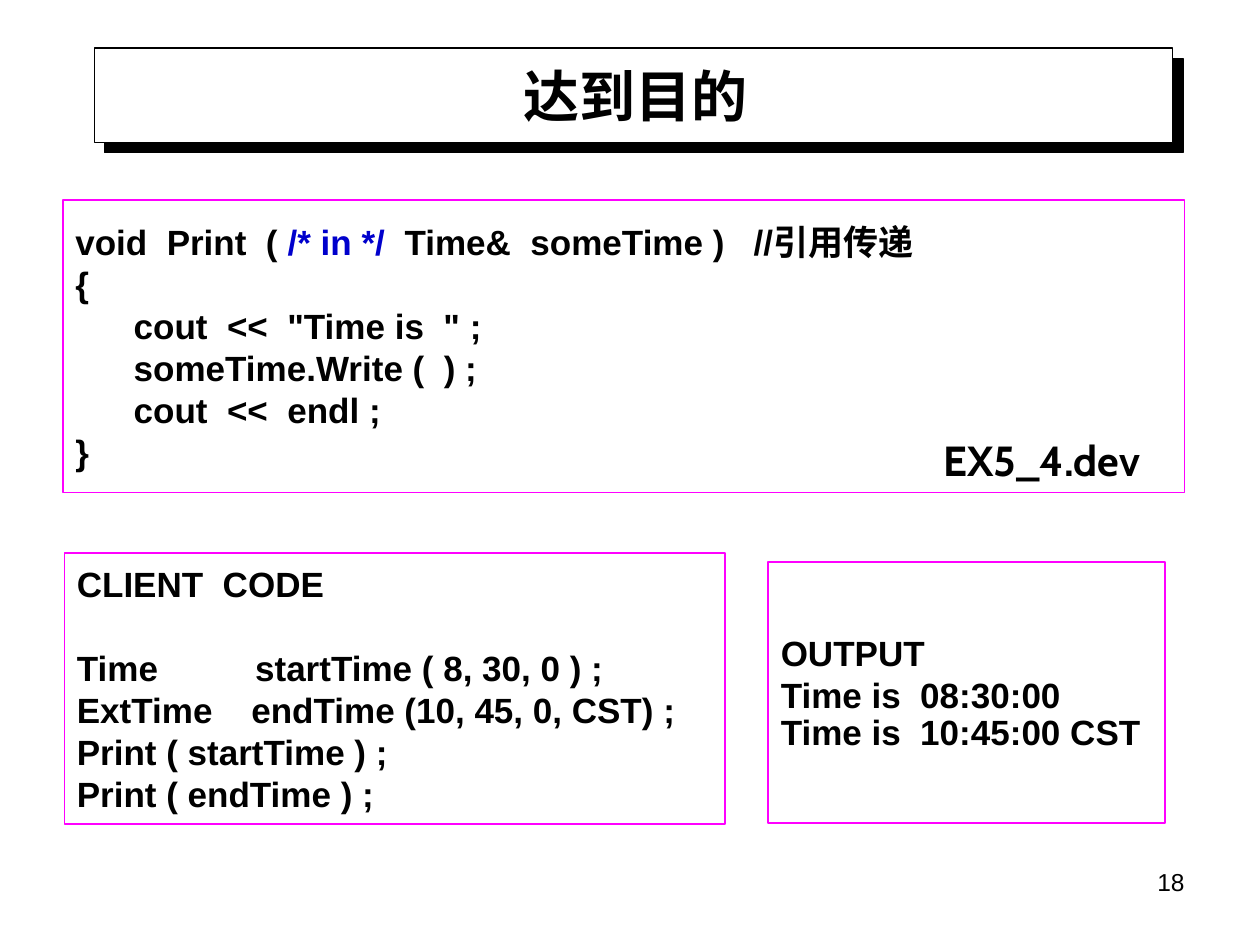
from dataclasses import dataclass

from lxml import etree
from pptx import Presentation
from pptx import util as u
from pptx.dml.color import RGBColor
from pptx.enum import shapes, text
from pptx.oxml import ns


@dataclass(frozen=True)
class Theme:
    ink: str = "000000"
    paper: str = "FFFFFF"
    frame: str = "FF00FF"
    comment: str = "0000CC"
    font: str = "Arial"
    label_font: str = "Cabin"
    title: int = 32
    label: int = 24
    code: int = 20
    number: int = 14


T = Theme()

FUNCTION = [
    [("void  Print  ( ", T.ink), ("/* in */", T.comment),
     ("  Time&  someTime )   //引用传递", T.ink)],
    [("{", T.ink)],
    [('      cout  <<  "Time is  " ;', T.ink)],
    [("      someTime.Write (  ) ;", T.ink)],
    [("      cout  <<  endl ;", T.ink)],
    [("}", T.ink)],
]
CLIENT = [[(line, T.ink)] for line in (
    "CLIENT  CODE",
    "Time          startTime ( 8, 30, 0 ) ;",
    "ExtTime    endTime (10, 45, 0, CST) ;",
    "Print ( startTime ) ;",
    "Print ( endTime ) ;",
)]
OUTPUT = [[(line, T.ink)] for line in (
    "OUTPUT", "Time is  08:30:00", "Time is  10:45:00 CST",
)]


def cm(*values):
    return [u.Cm(v) for v in values]


def add_run(p, words, size, color=T.ink, font=T.font, bold=True):
    r = p.add_run()
    r.text = words
    r.font.name = font
    r.font.size = u.Pt(size)
    r.font.bold = bold
    r.font.color.rgb = RGBColor.from_string(color)


def add_rect(s, box, line, width):
    sp = s.shapes.add_shape(shapes.MSO_SHAPE.RECTANGLE, *cm(*box))
    sp.shadow.inherit = False
    sp.fill.background()
    sp.line.color.rgb = RGBColor.from_string(line)
    sp.line.width = u.Pt(width)
    return sp


def add_hard_shadow(sp):
    effects = sp.element.spPr.find(ns.qn("a:effectLst"))
    shadow = etree.SubElement(
        effects, ns.qn("a:outerShdw"), dist=str(u.Pt(8.5)),
        dir=str(45 * 60000), algn="ctr", rotWithShape="0")
    etree.SubElement(shadow, ns.qn("a:srgbClr"), val=T.ink)


def add_title(s, box, words):
    x, y, w, h = box
    panel = add_rect(s, box, T.ink, 0.75)
    panel.fill.solid()
    panel.fill.fore_color.rgb = RGBColor.from_string(T.paper)
    add_hard_shadow(panel)

    title = s.shapes.title
    title.element.addprevious(panel.element)
    title.left, title.top, title.width, title.height = cm(
        x + 0.2, y + 0.15, w - 0.33, h - 0.3)
    tf = title.text_frame
    tf.vertical_anchor = text.MSO_ANCHOR.MIDDLE
    tf.auto_size = text.MSO_AUTO_SIZE.NONE
    p = tf.paragraphs[0]
    p.alignment = text.PP_ALIGN.CENTER
    add_run(p, words, T.title)


def add_code(s, box, lines):
    tf = add_rect(s, box, T.frame, 1).text_frame
    tf.word_wrap = True
    tf.vertical_anchor = text.MSO_ANCHOR.MIDDLE
    for i, line in enumerate(lines):
        p = tf.add_paragraph() if i else tf.paragraphs[0]
        p.alignment = text.PP_ALIGN.LEFT
        for words, color in line:
            add_run(p, words, T.code, color)
    return tf.paragraphs


def add_note(s, box, words, size, align, font=T.font, bold=False):
    tf = s.shapes.add_textbox(*cm(*box)).text_frame
    tf.word_wrap = True
    p = tf.paragraphs[0]
    p.alignment = align
    add_run(p, words, size, font=font, bold=bold)


def main():
    prs = Presentation()
    prs.slide_width, prs.slide_height = cm(25.4, 19.05)
    s = prs.slides.add_slide(prs.slide_layouts[5])

    add_title(s, (1.9, 0.97, 21.74, 1.9), "达到目的")
    add_note(s, (18.21, 17.35, 5.92, 1.32), "18", T.number,
             text.PP_ALIGN.RIGHT)
    output = add_code(s, (15.49, 11.33, 8, 5.26), OUTPUT)
    output[-1].line_spacing = 0.9
    add_code(s, (1.27, 4.04, 22.61, 5.89), FUNCTION)
    client = add_code(s, (1.3, 11.15, 13.31, 5.46), CLIENT)
    client[1].space_before = u.Pt(24)
    add_note(s, (18.77, 8.64, 5.11, 1.27), "EX5_4.dev", T.label,
             text.PP_ALIGN.LEFT, T.label_font, True)

    prs.save("out.pptx")


if __name__ == "__main__":
    main()
